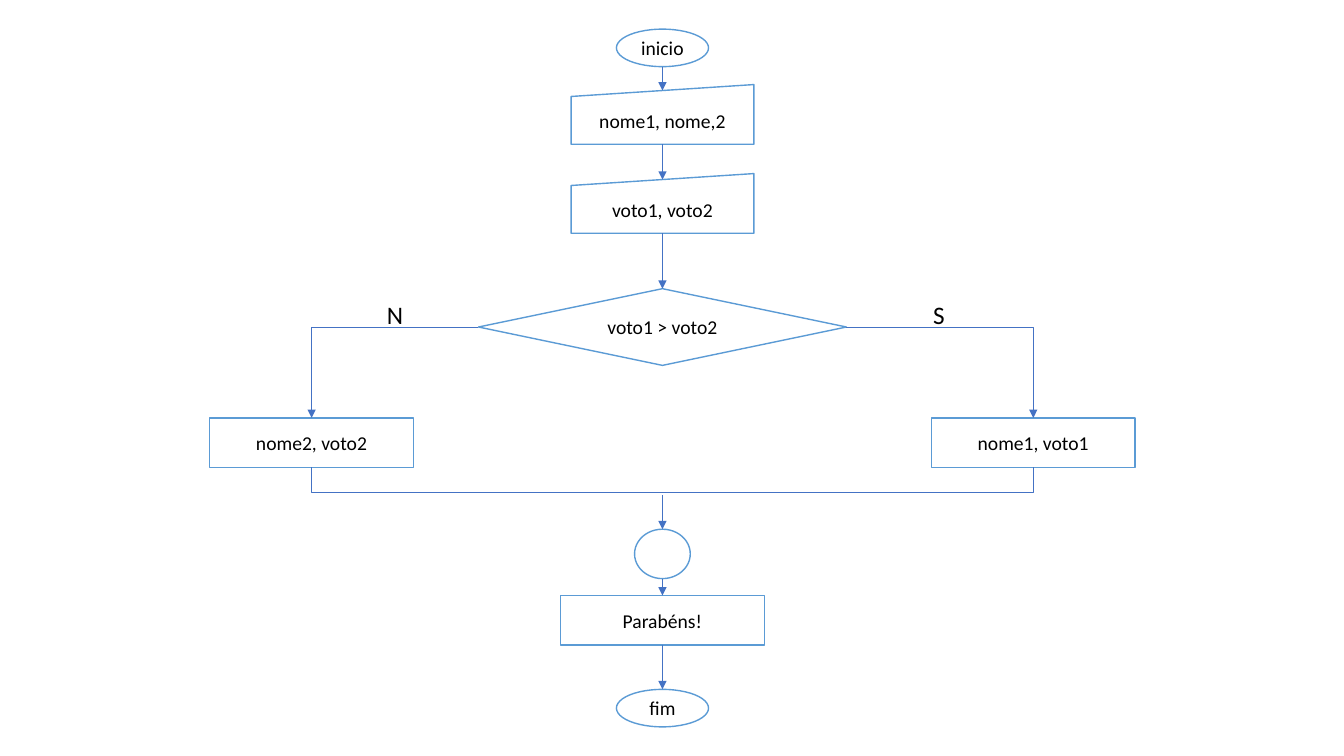
"""Draw a flowchart that compares two votes."""
from dataclasses import dataclass
from typing import Optional

from lxml import etree
from pptx import Presentation
from pptx import util as u
from pptx.dml import color as c
from pptx.enum import shapes, text
from pptx.oxml import ns

Kind = shapes.MSO_SHAPE
Link = shapes.MSO_CONNECTOR
HUES = {"edge": "5B9BD5", "flow": "4472C4", "ink": "000000", "paper": "FFFFFF"}
FONT = "Calibri"
MID, LEFT, RIGHT = 473.2, 222.6, 738.1
OVAL, ENTRY, BOX = (65.8, 26.8), (130.6, 42.6), (145.6, 35.3)


@dataclass
class Node:
    key: str
    kind: Kind
    mid: float
    top: float
    size: tuple[float, float]
    words: str = ""


@dataclass
class Arrow:
    start: tuple[float, float]
    end: tuple[float, float]
    tail: Optional[tuple[str, int]] = None
    head: Optional[tuple[str, int]] = None
    bent: bool = False


NODES = [
    Node("start", Kind.OVAL, MID, 20.8, OVAL, "inicio"),
    Node("yes", Kind.RECTANGLE, RIGHT, 298.5, BOX, "nome1, voto1"),
    Node("no", Kind.RECTANGLE, LEFT, 298.5, BOX, "nome2, voto2"),
    Node("test", Kind.FLOWCHART_DECISION, MID, 206.2, (262.8, 54.8), "voto1 > voto2"),
    Node("names", Kind.FLOWCHART_MANUAL_INPUT, MID, 60.4, ENTRY, "nome1, nome,2"),
    Node("votes", Kind.FLOWCHART_MANUAL_INPUT, MID, 124, ENTRY, "voto1, voto2"),
    Node("end", Kind.OVAL, MID, 492.4, OVAL, "fim"),
    Node("cheer", Kind.RECTANGLE, MID, 425.4, BOX, "Parabéns!"),
    Node("join", Kind.FLOWCHART_CONNECTOR, MID, 378, (39.8, 35.3)),
]
ARROWS = [
    Arrow((MID, 47.6), (MID, 64.7)),
    Arrow((MID, 103), (MID, 128.3)),
    Arrow((MID, 166.6), (MID, 206.2), head=("test", 0)),
    Arrow((341.8, 233.6), (LEFT, 298.5), ("test", 1), ("no", 0), True),
    Arrow((604.6, 233.6), (RIGHT, 298.5), ("test", 3), ("yes", 0), True),
    Arrow((MID, 413.3), (MID, 425.4), head=("cheer", 0)),
    Arrow((MID, 460.7), (MID, 492.4), tail=("cheer", 2)),
    Arrow((MID, 353.5), (MID, 378)),
]
SIGNS = [("S", 659.5, 23), ("N", 269.3, 25.9)]


def hue(name: str) -> c.RGBColor:
    return c.RGBColor.from_string(HUES[name])


def write(shape, words: str, size: float = 14, align=text.PP_ALIGN.CENTER,
          anchor=text.MSO_ANCHOR.MIDDLE, wrap: bool = True) -> None:
    frame = shape.text_frame
    frame.word_wrap = wrap
    frame.vertical_anchor = anchor
    para = frame.paragraphs[0]
    para.alignment = align
    run = para.add_run()
    run.text = words
    run.font.name = FONT
    run.font.size = u.Pt(size)
    run.font.color.rgb = hue("ink")


def stroke(shape, name: str, width: float) -> None:
    shape.line.color.rgb = hue(name)
    shape.line.width = u.Pt(width)


def draw_node(slide, node: Node):
    wide, high = node.size
    shape = slide.shapes.add_shape(node.kind, u.Pt(node.mid - wide / 2),
                                   u.Pt(node.top), u.Pt(wide), u.Pt(high))
    shape.shadow.inherit = False
    shape.fill.solid()
    shape.fill.fore_color.rgb = hue("paper")
    stroke(shape, "edge", 1)
    if node.words:
        write(shape, node.words)
    return shape


def draw_arrow(slide, arrow: Arrow, drawn: dict) -> None:
    kind = Link.ELBOW if arrow.bent else Link.STRAIGHT
    link = slide.shapes.add_connector(
        kind, *(u.Pt(n) for n in (*arrow.start, *arrow.end)))
    if arrow.tail:
        link.begin_connect(drawn[arrow.tail[0]], arrow.tail[1])
    if arrow.head:
        link.end_connect(drawn[arrow.head[0]], arrow.head[1])
    stroke(link, "flow", 0.5)
    props = link._element.spPr
    if arrow.bent:
        props.find(ns.qn("a:prstGeom")).set("prst", "bentConnector2")
    tip = etree.SubElement(props.find(ns.qn("a:ln")), ns.qn("a:tailEnd"))
    tip.set("type", "triangle")
    etree.SubElement(props, ns.qn("a:effectLst"))


def draw_merge(slide) -> None:
    low, base = 333.8, 351.4
    pen = slide.shapes.build_freeform(u.Pt(LEFT), u.Pt(low))
    turns = [(LEFT, base), (RIGHT, base), (RIGHT, low)]
    pen.add_line_segments([(u.Pt(x), u.Pt(y)) for x, y in turns], close=False)
    shape = pen.convert_to_shape()
    shape.shadow.inherit = False
    shape.fill.background()
    stroke(shape, "flow", 0.5)


def draw_sign(slide, words: str, left: float, wide: float) -> None:
    box = slide.shapes.add_textbox(u.Pt(left), u.Pt(210.2), u.Pt(wide), u.Pt(29.1))
    write(box, words, size=18, align=text.PP_ALIGN.LEFT,
          anchor=text.MSO_ANCHOR.TOP, wrap=False)
    box.text_frame.auto_size = text.MSO_AUTO_SIZE.SHAPE_TO_FIT_TEXT


def main() -> None:
    deck = Presentation()
    deck.slide_width, deck.slide_height = u.Pt(960), u.Pt(540)
    slide = deck.slides.add_slide(deck.slide_layouts[6])
    drawn = {node.key: draw_node(slide, node) for node in NODES}
    for arrow in ARROWS:
        draw_arrow(slide, arrow, drawn)
    draw_merge(slide)
    for sign in SIGNS:
        draw_sign(slide, *sign)
    deck.save("out.pptx")


if __name__ == "__main__":
    main()
